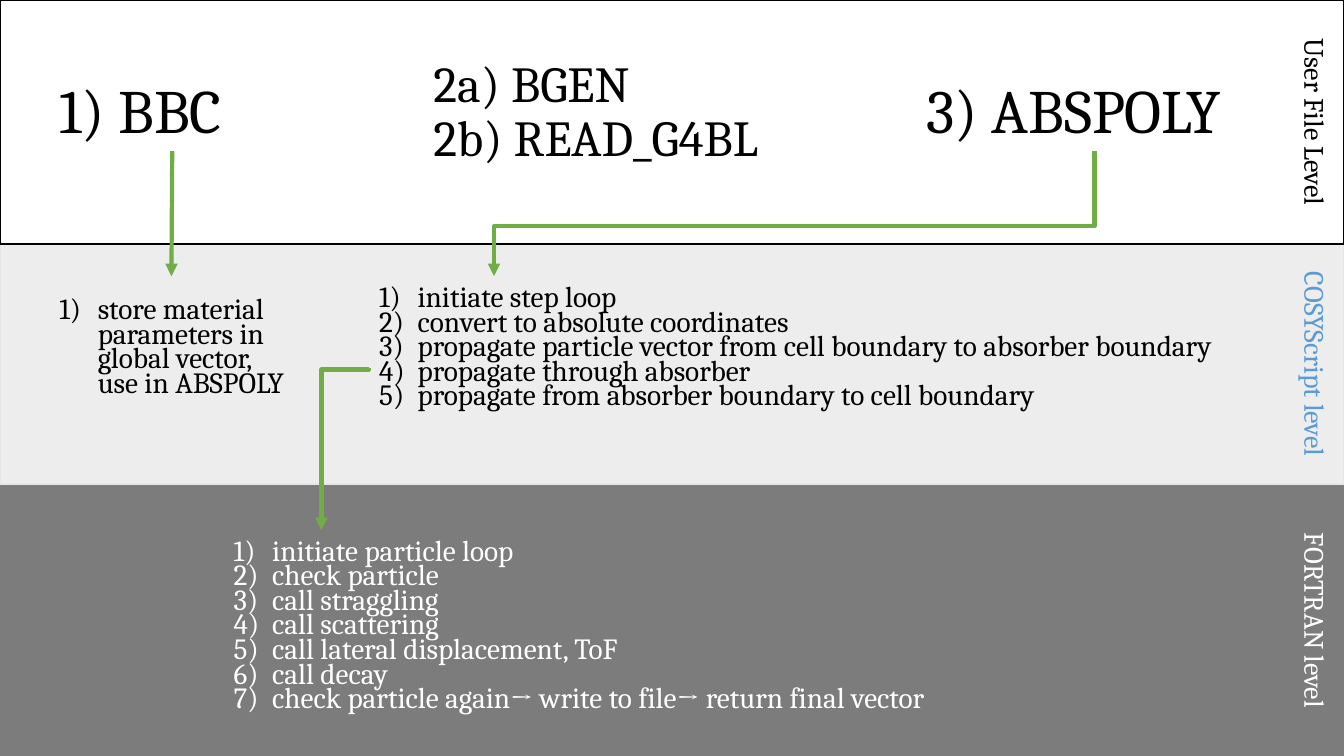
from dataclasses import dataclass

from pptx import Presentation
from pptx import util as u
from pptx.dml.color import RGBColor
from pptx.enum import shapes, text
from pptx.oxml.ns import qn
from lxml import etree


@dataclass(frozen=True)
class Theme:
    font: str = "Cambria"
    black: str = "000000"
    white: str = "FFFFFF"
    blue: str = "5B9BD5"
    green: str = "70AD47"
    pale: str = "EDEDED"
    pale_edge: str = "E7E6E6"
    dark: str = "7C7C7C"
    heading: float = 44
    subheading: float = 36
    label: float = 20
    listing: float = 20.9
    border: float = 1
    arrow: float = 3


THEME = Theme()
WIDTH, HEIGHT = 33.87, 19.05
LABEL_CENTRE, LABEL_HEIGHT = 33.1, 1.52

# name, top, height, fill, border, label colour
LEVELS = [
    ("FORTRAN level", 12.22, 6.83, THEME.dark, THEME.dark, THEME.white),
    ("COSYScript level", 6.15, 6.05, THEME.pale, THEME.pale_edge, THEME.blue),
    ("User File Level", 0, 6.15, None, THEME.black, THEME.black),
]

MATERIAL_STEPS = ["store material parameters in global vector, use in ABSPOLY"]
ABSORBER_STEPS = [
    "initiate step loop",
    "convert to absolute coordinates",
    "propagate particle vector from cell boundary to absorber boundary",
    "propagate through absorber",
    "propagate from absorber boundary to cell boundary",
]
PARTICLE_STEPS = [
    "initiate particle loop",
    "check particle",
    "call straggling",
    "call scattering",
    "call lateral displacement, ToF",
    "call decay",
    "check particle again→ write to file→ return final vector",
]


def colour(value):
    return RGBColor.from_string(value)


def place(shape, left, top, width, height):
    shape.left, shape.top = u.Cm(left), u.Cm(top)
    shape.width, shape.height = u.Cm(width), u.Cm(height)
    return shape


def add_box(page, *area):
    return page.shapes.add_textbox(*map(u.Cm, area))


def write(box, lines, size, ink=THEME.black, spacing=0.9, align=text.PP_ALIGN.LEFT):
    frame = box.text_frame
    frame.text = "\n".join(lines)
    frame.word_wrap = True
    frame.auto_size = text.MSO_AUTO_SIZE.NONE
    frame.vertical_anchor = text.MSO_ANCHOR.MIDDLE
    for para in frame.paragraphs:
        para.alignment = align
        para.line_spacing = spacing
        para.space_before = para.space_after = u.Pt(0)
        for span in para.runs:
            span.font.name = THEME.font
            span.font.size = u.Pt(size)
            span.font.color.rgb = colour(ink)


def write_numbered(box, lines, ink=THEME.black):
    write(box, lines, THEME.listing, ink, spacing=0.7)
    indent = u.Cm(0.97)
    for para in box.text_frame.paragraphs:
        props = para._p.get_or_add_pPr()
        props.set("marL", str(indent))
        props.set("indent", str(-indent))
        etree.SubElement(props, qn("a:buFont"), typeface="+mj-lt")
        etree.SubElement(props, qn("a:buAutoNum"), type="arabicParenR")


def add_level(page, top, height, fill, border):
    band = page.shapes.add_shape(
        shapes.MSO_SHAPE.RECTANGLE, 0, u.Cm(top), u.Cm(WIDTH), u.Cm(height))
    band.shadow.inherit = False
    if fill:
        band.fill.solid()
        band.fill.fore_color.rgb = colour(fill)
    else:
        band.fill.background()
    band.line.color.rgb = colour(border)
    band.line.width = u.Pt(THEME.border)
    return band


def add_level_label(page, name, top, height, ink):
    # The box is as long as its level is high, then turned about its centre
    box = add_box(page, LABEL_CENTRE - height / 2, top + (height - LABEL_HEIGHT) / 2,
                  height, LABEL_HEIGHT)
    box.rotation = 90
    write(box, [name], THEME.label, ink, align=text.PP_ALIGN.CENTER)


def add_arrow(page, start, end, kind=shapes.MSO_CONNECTOR.STRAIGHT):
    arrow = page.shapes.add_connector(kind, *map(u.Cm, (*start, *end)))
    arrow.line.color.rgb = colour(THEME.green)
    arrow.line.width = u.Pt(THEME.arrow)
    etree.SubElement(arrow.line._get_or_add_ln(), qn("a:tailEnd"), type="triangle")
    etree.SubElement(arrow._element.spPr, qn("a:effectLst"))
    return arrow


def add_elbow(page, start, end, bend):
    """Go down, left, then down; bend is the share of the drop before the turn."""
    across, drop = start[0] - end[0], end[1] - start[1]
    middle_x, middle_y = (start[0] + end[0]) / 2, (start[1] + end[1]) / 2
    # A quarter turn makes the connector leave and arrive vertically
    left, top = middle_x - drop / 2, middle_y - across / 2
    arrow = add_arrow(page, (left, top), (left + drop, top + across),
                      shapes.MSO_CONNECTOR.ELBOW)
    props = arrow._element.spPr
    props.find(qn("a:xfrm")).set("rot", str(90 * 60000))
    arrow_guides = props.find(qn("a:prstGeom")).find(qn("a:avLst"))
    etree.SubElement(arrow_guides, qn("a:gd"), name="adj1",
                     fmla=f"val {round(bend * 100000)}")


def main():
    deck = Presentation()
    deck.slide_width, deck.slide_height = u.Cm(WIDTH), u.Cm(HEIGHT)
    page = deck.slides.add_slide(deck.slide_layouts.get_by_name("Two Content"))
    title, absorber, material = list(page.placeholders)[:3]

    # Levels, behind the placeholders
    for depth, (_, top, height, fill, border, _) in enumerate(LEVELS):
        band = add_level(page, top, height, fill, border)
        page.shapes._spTree.insert(2 + depth, band._element)

    # User file commands
    write(place(title, 1.24, 1.02, 5.69, 3.68), ["1) BBC"], THEME.heading)
    write(add_box(page, 10.67, 1.02, 9.35, 3.68),
          ["2a) BGEN", "2b) READ_G4BL"], THEME.subheading)
    write(add_box(page, 23.09, 1.02, 8.99, 3.68), ["3) ABSPOLY"], THEME.heading)

    # Numbered steps
    write_numbered(place(absorber, 9.3, 6.96, 24.56, 3.68), ABSORBER_STEPS)
    write_numbered(place(material, 1.24, 6.96, 6.2, 3.68), MATERIAL_STEPS)
    write_numbered(add_box(page, 5.64, 13.49, 22.96, 4.65), PARTICLE_STEPS, THEME.white)

    # Level names along the right edge
    for name, top, height, _, _, ink in LEVELS:
        add_level_label(page, name, top, height, ink)

    # Calls from one level to the next
    add_arrow(page, (4.34, 3.81), (4.32, 6.96))
    add_elbow(page, (27.58, 3.81), (12.45, 6.96), bend=0.6)
    add_elbow(page, (9.3, 9.27), (8.1, 13.36), bend=0.01)

    deck.save("out.pptx")


main()
